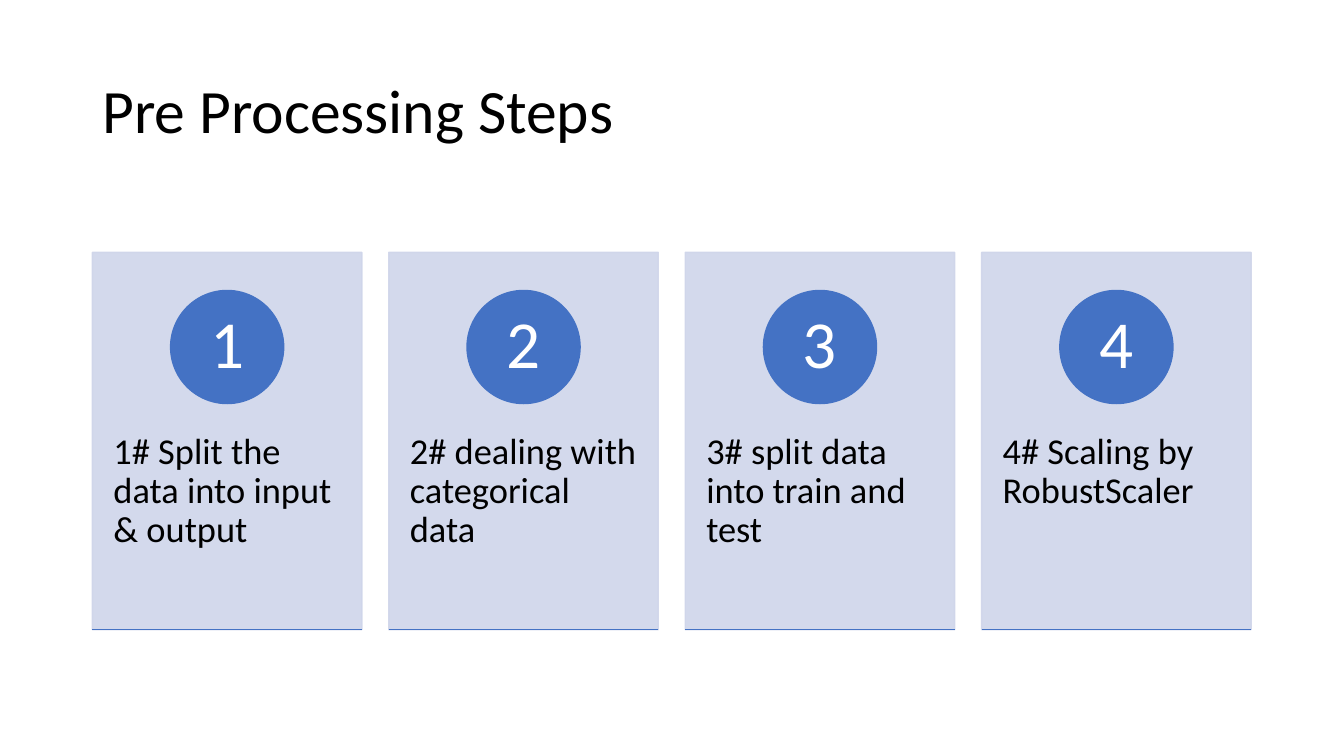
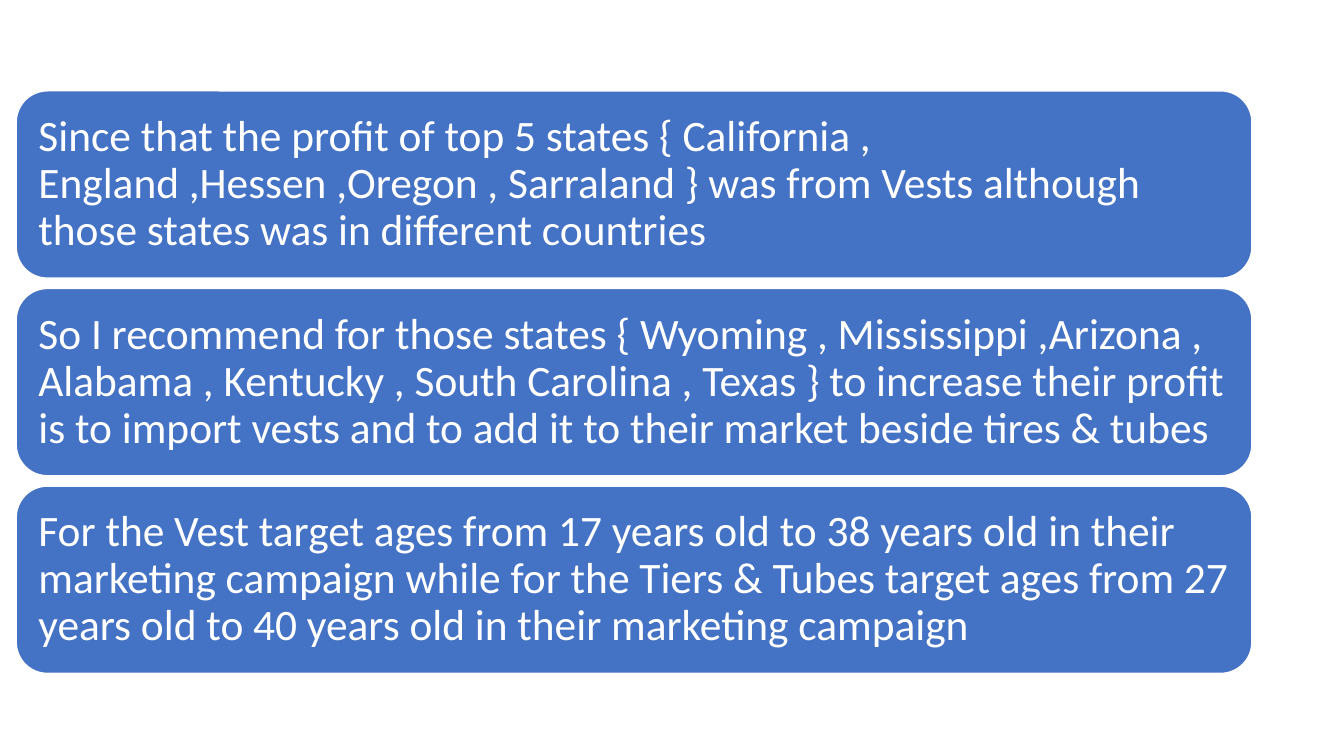
from lxml import etree
from pptx import Presentation
from pptx.dml.color import RGBColor
from pptx.enum.shapes import MSO_CONNECTOR, MSO_SHAPE
from pptx.enum.text import MSO_ANCHOR as ANCHOR, PP_ALIGN as ALIGN
from pptx.oxml.ns import qn
from pptx.util import Cm, Pt

FONT = "Calibri"
BLUE = "4472C4"
PALE_BLUE = "CFD5EA"
WHITE = "FFFFFF"
BLACK = "000000"


def paint(shape, fill, line):
    shape.shadow.inherit = False
    shape.fill.solid()
    shape.fill.fore_color.rgb = RGBColor.from_string(fill)
    shape.line.color.rgb = RGBColor.from_string(line)
    shape.line.width = Pt(1)


def write(shape, text, size, color, insets, anchor=ANCHOR.MIDDLE, align=ALIGN.LEFT):
    frame = shape.text_frame
    frame.text = text
    frame.word_wrap = True
    frame.vertical_anchor = anchor
    (frame.margin_left, frame.margin_top,
     frame.margin_right, frame.margin_bottom) = [Cm(inset) for inset in insets]
    para = frame.paragraphs[0]
    para.alignment = align
    para.line_spacing = 0.9
    font = para.runs[0].font
    font.name = FONT
    font.size = Pt(size)
    font.color.rgb = RGBColor.from_string(color)


deck = Presentation()
deck.slide_width = Cm(33.87)
deck.slide_height = Cm(19.05)
blank = deck.slide_layouts[6]

steps_page = deck.slides.add_slide(blank)
title = steps_page.shapes.add_textbox(Cm(2.33), Cm(1.01), Cm(29.21), Cm(3.68))
write(title, "Pre Processing Steps", 44, BLACK, (0.25, 0.13, 0.25, 0.13))

steps = [
    "1# Split the data into input & output",
    "2# dealing with categorical data",
    "3# split data into train and test",
    "4# Scaling by RobustScaler",
]
card_left, card_top, card_width, card_height = 2.33, 6.36, 6.79, 9.51
card_pitch = 7.47
circle_size = 2.85
for index, step in enumerate(steps):
    left = card_left + index * card_pitch
    card = steps_page.shapes.add_shape(
        MSO_SHAPE.RECTANGLE, Cm(left), Cm(card_top), Cm(card_width), Cm(card_height))
    paint(card, PALE_BLUE, PALE_BLUE)
    for color in card.element.spPr.iter(qn("a:srgbClr")):
        etree.SubElement(color, qn("a:alpha")).set("val", "90000")
    write(card, step, 26, BLACK, (0.53, 4.55, 0.53, 0.9), ANCHOR.TOP)

    circle = steps_page.shapes.add_shape(
        MSO_SHAPE.OVAL, Cm(left + (card_width - circle_size) / 2), Cm(7.32),
        Cm(circle_size), Cm(circle_size))
    paint(circle, BLUE, BLUE)
    write(circle, str(index + 1), 48, WHITE, (0.23, 0.03, 0.23, 0.03), align=ALIGN.CENTER)

    bottom = Cm(card_top + card_height)
    underline = steps_page.shapes.add_connector(
        MSO_CONNECTOR.STRAIGHT, Cm(left), bottom, Cm(left + card_width), bottom)
    underline.line.color.rgb = RGBColor.from_string(BLUE)
    underline.line.width = Pt(1)
    etree.SubElement(underline.element.spPr, qn("a:effectLst"))

advice_page = deck.slides.add_slide(blank)
advice = [
    "Since that the profit of top 5 states { California , "
    "England\u00a0,Hessen\u00a0,Oregon , Sarraland } was from Vests "
    "although those states was in different countries",
    "So I recommend for those states { Wyoming , Mississippi ,Arizona , "
    "Alabama , Kentucky , South Carolina , Texas } to increase their profit "
    "is to import vests and to add it to their market beside tires & tubes",
    "For the Vest target ages from 17 years old to 38 years old in their "
    "marketing campaign while for the Tiers & Tubes target ages from 27 "
    "years old to 40 years old in their marketing campaign",
]
for index, text in enumerate(advice):
    panel = advice_page.shapes.add_shape(
        MSO_SHAPE.ROUNDED_RECTANGLE, Cm(0.41), Cm(2.29 + index * 4.98), Cm(31.14), Cm(4.72))
    paint(panel, BLUE, WHITE)
    write(panel, text, 31, WHITE, (0.33, 0.33, 0.33, 0.33))

deck.save("out.pptx")
